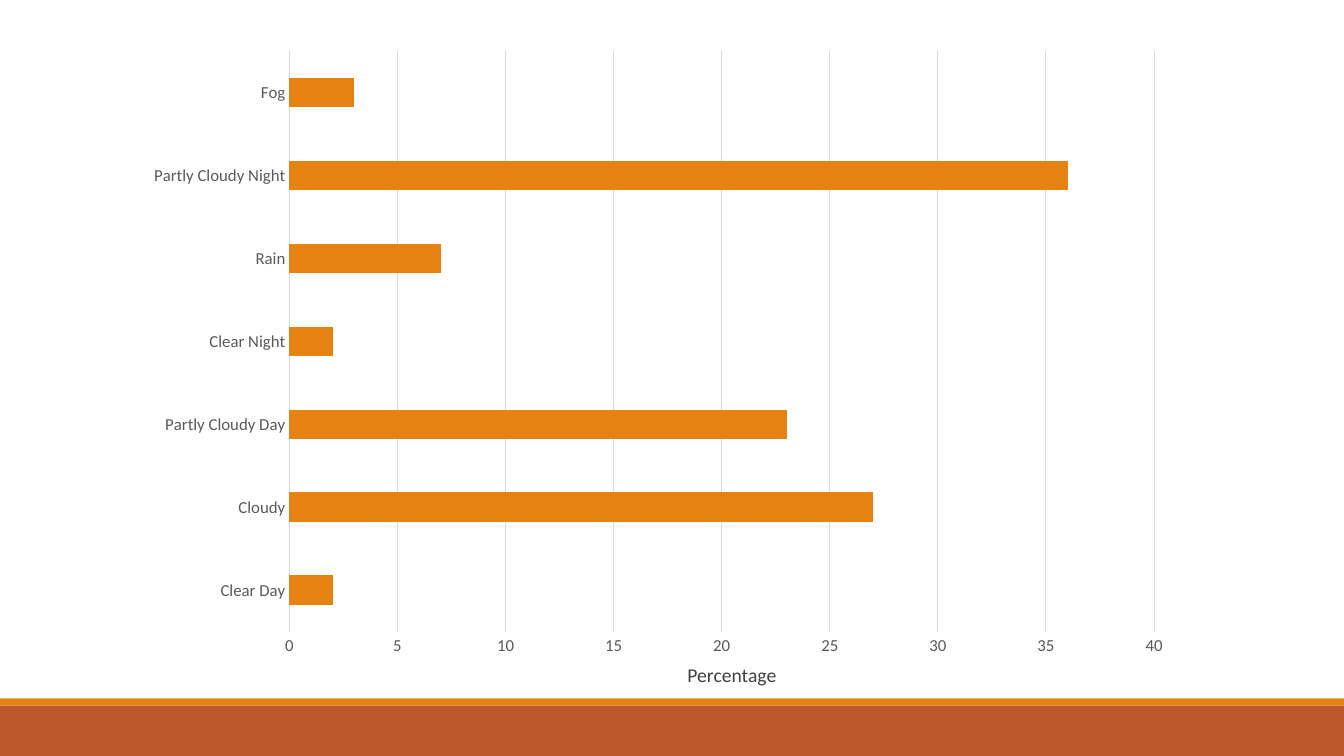
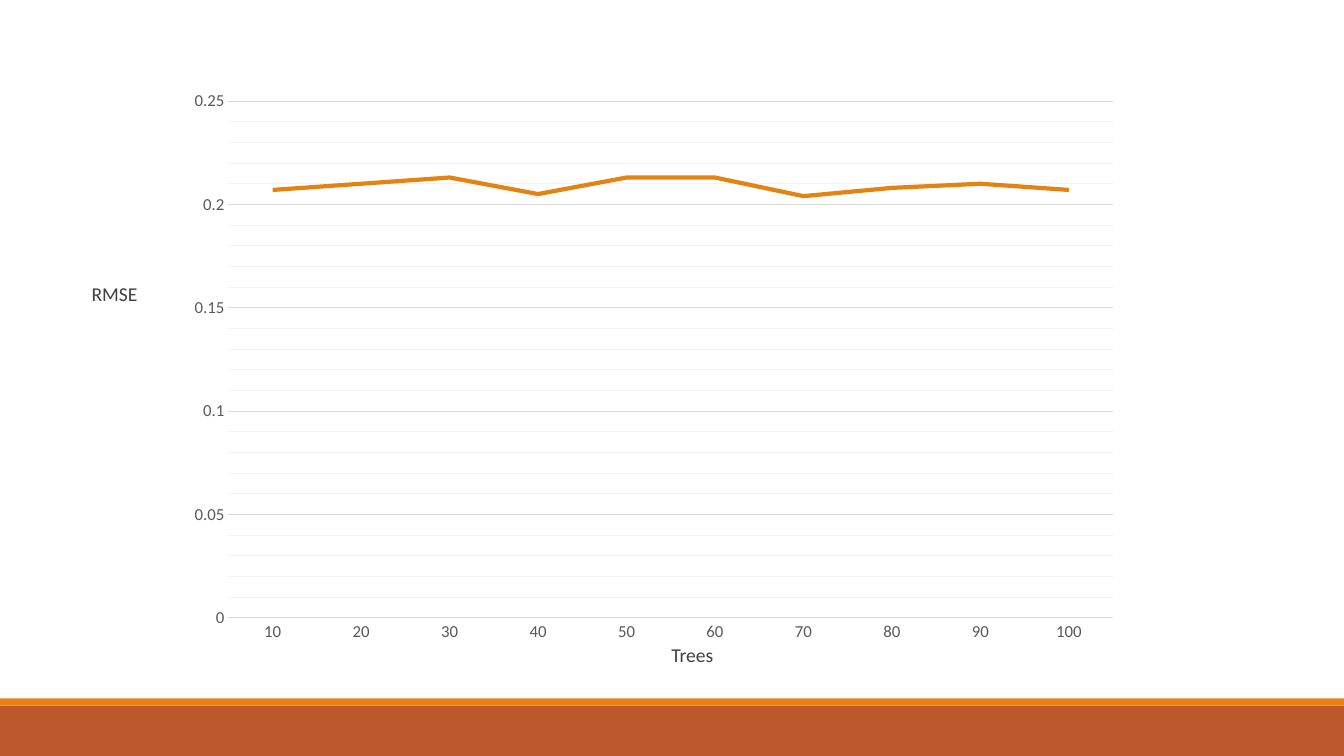
from dataclasses import dataclass

from pptx import Presentation
from pptx.chart.data import CategoryChartData
from pptx.dml.color import RGBColor
from pptx.enum.chart import XL_CHART_TYPE, XL_MARKER_STYLE, XL_TICK_MARK
from pptx.enum.shapes import MSO_SHAPE
from pptx.enum.text import MSO_AUTO_SIZE
from pptx.oxml import parse_xml
from pptx.oxml.ns import nsdecls
from pptx.util import Inches, Pt

BAR = XL_CHART_TYPE.BAR_CLUSTERED
LINE = XL_CHART_TYPE.LINE
NO_MARKER = XL_MARKER_STYLE.NONE
NO_TICK = XL_TICK_MARK.NONE
RECTANGLE = MSO_SHAPE.RECTANGLE
GROW = MSO_AUTO_SIZE.SHAPE_TO_FIT_TEXT
BLANK_LAYOUT = 6
PAGE_WIDTH, PAGE_HEIGHT = 13.33, 7.5


@dataclass(frozen=True)
class Theme:
    """Colours, font and type sizes shared by the slides."""

    font: str = "Calibri"
    accent: RGBColor = RGBColor(0xE4, 0x83, 0x12)
    footer: RGBColor = RGBColor(0xBD, 0x58, 0x2C)
    caption: RGBColor = RGBColor(0x40, 0x40, 0x40)
    label: RGBColor = RGBColor(0x59, 0x59, 0x59)
    chart_text: RGBColor = RGBColor(0, 0, 0)
    grid: RGBColor = RGBColor(0xD9, 0xD9, 0xD9)
    minor_grid: RGBColor = RGBColor(0xF2, 0xF2, 0xF2)
    caption_size: Pt = Pt(14)
    label_size: Pt = Pt(12)
    chart_size: Pt = Pt(10)
    grid_width: Pt = Pt(0.75)
    series_width: Pt = Pt(3)


THEME = Theme()


def inches(box):
    """Turn a box of left, top, width and height into lengths."""
    return [Inches(value) for value in box]


def style_font(font, size, color):
    """Apply the shared typeface with a size and colour."""
    font.name = THEME.font
    font.size = size
    font.color.rgb = color


def style_line(line, color, width=THEME.grid_width):
    """Give a line its colour and width."""
    line.color.rgb = color
    line.width = width


def add_master_bands(deck, page):
    """Draw the footer bands and move them to the slide master."""
    master_tree = deck.slide_master.element.cSld.spTree
    bands = [(7, 0.5, THEME.footer), (6.93, 0.07, THEME.accent)]
    for number, (top, height, color) in enumerate(bands, start=101):
        band = page.shapes.add_shape(RECTANGLE, *inches((0, top, PAGE_WIDTH, height)))
        band.shadow.inherit = False
        band.fill.solid()
        band.fill.fore_color.rgb = color
        band.line.fill.background()
        band.name = f"Footer band {number - 100}"
        band.element.nvSpPr.cNvPr.set("id", str(number))
        master_tree.append(band.element)


def add_caption(page, text, left, top):
    """Place an axis caption."""
    box = page.shapes.add_textbox(*inches((left, top, 1.4, 0.34)))
    frame = box.text_frame
    frame.word_wrap = True
    frame.auto_size = GROW
    para = frame.paragraphs[0]
    para.text = text
    style_font(para.font, THEME.caption_size, THEME.caption)


def add_chart(page, kind, box, categories, values):
    """Place a one-series chart with the shared axis style."""
    data = CategoryChartData()
    data.categories = categories
    data.add_series("Series 1", values)
    chart = page.shapes.add_chart(kind, *inches(box), data).chart
    chart.has_legend = False
    chart.has_title = False
    style_font(chart.font, THEME.chart_size, THEME.chart_text)
    chart.plots[0].vary_by_categories = False
    for axis in (chart.category_axis, chart.value_axis):
        axis.major_tick_mark = NO_TICK
        axis.minor_tick_mark = NO_TICK
        style_font(axis.tick_labels.font, THEME.label_size, THEME.label)
    style_line(chart.category_axis.format.line, THEME.grid)
    value_axis = chart.value_axis
    value_axis.format.line.fill.background()
    value_axis.minimum_scale = 0
    value_axis.has_major_gridlines = True
    style_line(value_axis.major_gridlines.format.line, THEME.grid)
    value_axis.tick_labels.number_format = "General"
    value_axis.tick_labels.number_format_is_linked = False
    return chart


def add_minor_gridlines(chart):
    """Show pale minor gridlines on the value axis."""
    chart.value_axis.has_minor_gridlines = True
    gridlines = chart.element.xpath(".//c:valAx/c:minorGridlines")[0]
    gridlines.append(
        parse_xml(
            f'<c:spPr {nsdecls("c", "a")}><a:ln w="{THEME.grid_width}"><a:solidFill>'
            f'<a:srgbClr val="{THEME.minor_grid}"/></a:solidFill></a:ln></c:spPr>'
        )
    )


def build_weather_page(page):
    """Show the share of each weather type as bars."""
    shares = {
        "Clear Day": 2,
        "Cloudy": 27,
        "Partly Cloudy Day": 23,
        "Clear Night": 2,
        "Rain": 7,
        "Partly Cloudy Night": 36,
        "Fog": 3,
    }
    chart = add_chart(page, BAR, (1.32, 0.38, 10.42, 6.25), shares.keys(), shares.values())
    chart.value_axis.maximum_scale = 40
    chart.value_axis.major_unit = 5
    plot = chart.plots[0]
    plot.gap_width = 182
    fill = plot.series[0].format.fill
    fill.solid()
    fill.fore_color.rgb = THEME.accent
    add_caption(page, "Percentage", 6.72, 6.53)


def build_error_page(page):
    """Show the error against the number of trees as a line."""
    add_caption(page, "RMSE", 0.81, 2.75)
    add_caption(page, "Trees", 6.56, 6.33)
    trees = [str(count) for count in range(10, 101, 10)]
    errors = [0.207, 0.21, 0.213, 0.205, 0.213, 0.213, 0.204, 0.208, 0.21, 0.207]
    chart = add_chart(page, LINE, (1.74, 0.79, 9.49, 5.69), trees, errors)
    value_axis = chart.value_axis
    value_axis.maximum_scale = 0.25
    value_axis.major_unit = 0.05
    value_axis.minor_unit = 0.01
    add_minor_gridlines(chart)
    series = chart.plots[0].series[0]
    series.smooth = False
    series.marker.style = NO_MARKER
    style_line(series.format.line, THEME.accent, THEME.series_width)


def main():
    """Build and save the deck."""
    deck = Presentation()
    deck.slide_width = Inches(PAGE_WIDTH)
    deck.slide_height = Inches(PAGE_HEIGHT)
    layout = deck.slide_layouts[BLANK_LAYOUT]
    pages = [deck.slides.add_slide(layout) for _ in range(2)]
    add_master_bands(deck, pages[0])
    build_weather_page(pages[0])
    build_error_page(pages[1])
    deck.save("out.pptx")


if __name__ == "__main__":
    main()
